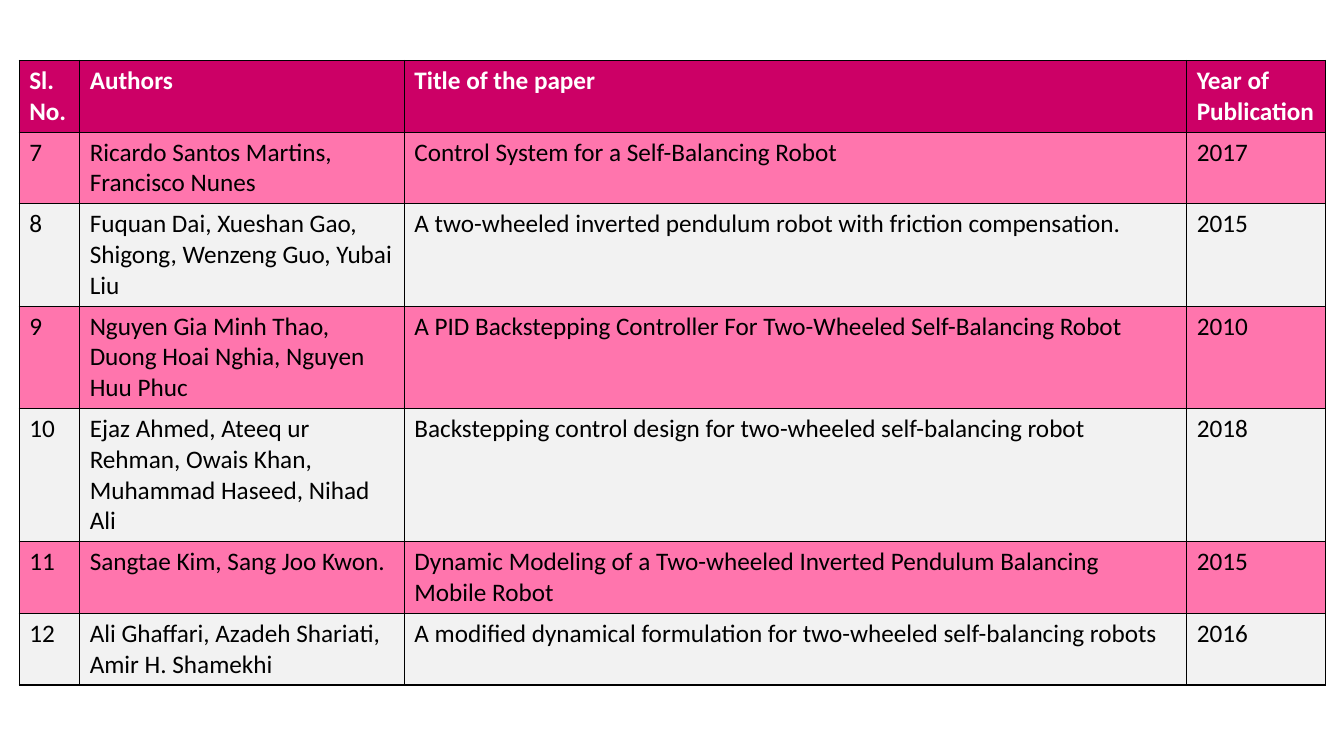
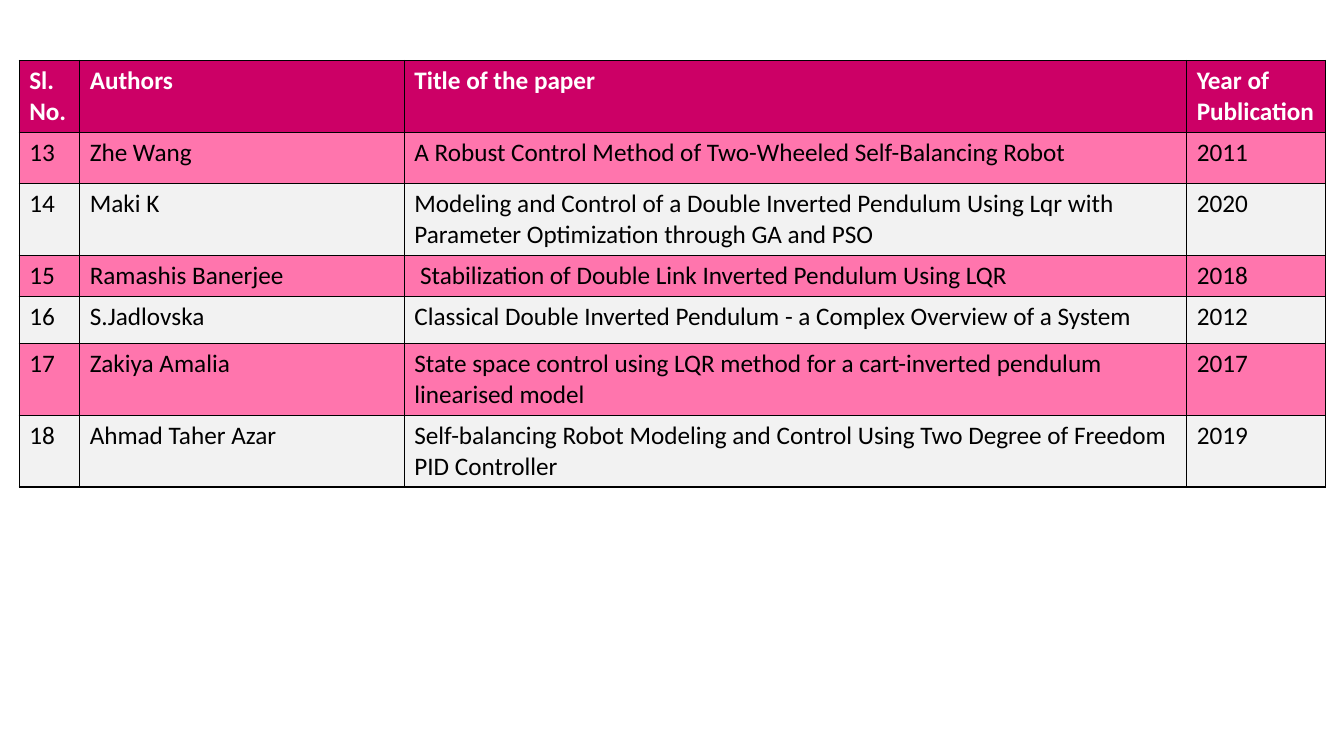
from lxml import etree
from pptx import Presentation
from pptx.dml.color import RGBColor
from pptx.oxml.ns import qn
from pptx.util import Inches, Pt

HEADER_FILL = RGBColor(0xCC, 0x00, 0x66)
BAND_FILLS = (RGBColor(0xFF, 0x75, 0xAD), RGBColor(0xF2, 0xF2, 0xF2))
WHITE = RGBColor(0xFF, 0xFF, 0xFF)
BLACK = RGBColor(0x00, 0x00, 0x00)
FONT = "Calibri"
TEXT_SIZE = Pt(18)
BORDER_WIDTH = Pt(1)

LEFT, TOP = 0.19, 0.6
COLUMN_WIDTHS = (0.6, 3.22, 7.76, 1.38)
ROW_HEIGHTS = (0.7, 0.51, 0.46, 0.41, 0.47, 0.42, 0.63)
HEADINGS = ("Sl. No.", "Authors", "Title of the paper", "Year of Publication")
FIRST_NUMBER = 7

PAPERS = [
    ("Ricardo Santos Martins, Francisco Nunes",
     "Control System for a Self-Balancing Robot", 2017),
    ("Fuquan Dai, Xueshan Gao, Shigong, Wenzeng Guo, Yubai Liu",
     "A two-wheeled inverted pendulum robot with friction compensation.", 2015),
    ("Nguyen Gia Minh Thao, Duong Hoai Nghia, Nguyen Huu Phuc",
     "A PID Backstepping Controller For Two-Wheeled Self-Balancing Robot", 2010),
    ("Ejaz Ahmed, Ateeq ur Rehman, Owais Khan, Muhammad Haseed, Nihad Ali",
     "Backstepping control design for two-wheeled self-balancing robot", 2018),
    ("Sangtae Kim, Sang Joo Kwon.",
     "Dynamic Modeling of a Two-wheeled Inverted Pendulum Balancing Mobile Robot", 2015),
    ("Ali Ghaffari, Azadeh Shariati, Amir H. Shamekhi",
     "A modified dynamical formulation for two-wheeled self-balancing robots", 2016),
    ("Zhe Wang",
     "A Robust Control Method of Two-Wheeled Self-Balancing Robot", 2011),
    ("Maki K",
     "Modeling and Control of a Double Inverted Pendulum Using Lqr with "
     "Parameter Optimization through GA and PSO", 2020),
    ("Ramashis Banerjee",
     " Stabilization of Double Link Inverted Pendulum Using LQR", 2018),
    ("S.Jadlovska",
     "Classical Double Inverted Pendulum - a Complex Overview of a System", 2012),
    ("Zakiya Amalia",
     "State space control using LQR method for a cart-inverted pendulum "
     "linearised model", 2017),
    ("Ahmad Taher Azar",
     "Self-balancing Robot Modeling and Control Using Two Degree of Freedom "
     "PID Controller", 2019),
]


def add_borders(cell):
    properties = cell._tc.get_or_add_tcPr()
    for side in ("a:lnL", "a:lnR", "a:lnT", "a:lnB"):
        line = etree.SubElement(properties, qn(side), w=str(BORDER_WIDTH))
        solid = etree.SubElement(line, qn("a:solidFill"))
        etree.SubElement(solid, qn("a:srgbClr"), val=str(BLACK))


def fill_cell(cell, text, fill, color, bold):
    add_borders(cell)
    cell.fill.solid()
    cell.fill.fore_color.rgb = fill
    run = cell.text_frame.paragraphs[0].add_run()
    run.text = str(text)
    run.font.name = FONT
    run.font.size = TEXT_SIZE
    run.font.bold = bold
    run.font.color.rgb = color


def add_paper_slide(deck, entries):
    slide = deck.slides.add_slide(deck.slide_layouts[6])
    rows = [HEADINGS, *entries]
    papers = slide.shapes.add_table(
        len(rows), len(HEADINGS), Inches(LEFT), Inches(TOP),
        Inches(sum(COLUMN_WIDTHS)), Inches(sum(ROW_HEIGHTS))).table
    for column, width in zip(papers.columns, COLUMN_WIDTHS):
        column.width = Inches(width)
    for r, (values, height) in enumerate(zip(rows, ROW_HEIGHTS)):
        papers.rows[r].height = Inches(height)
        is_header = r == 0
        fill = HEADER_FILL if is_header else BAND_FILLS[(r - 1) % 2]
        color = WHITE if is_header else BLACK
        for c, value in enumerate(values):
            fill_cell(papers.cell(r, c), value, fill, color, is_header)


def main():
    deck = Presentation()
    deck.slide_width, deck.slide_height = Inches(13.33), Inches(7.5)
    numbered = [(n, *paper) for n, paper in enumerate(PAPERS, FIRST_NUMBER)]
    per_slide = len(ROW_HEIGHTS) - 1
    for start in range(0, len(numbered), per_slide):
        add_paper_slide(deck, numbered[start:start + per_slide])
    deck.save("out.pptx")


if __name__ == "__main__":
    main()
